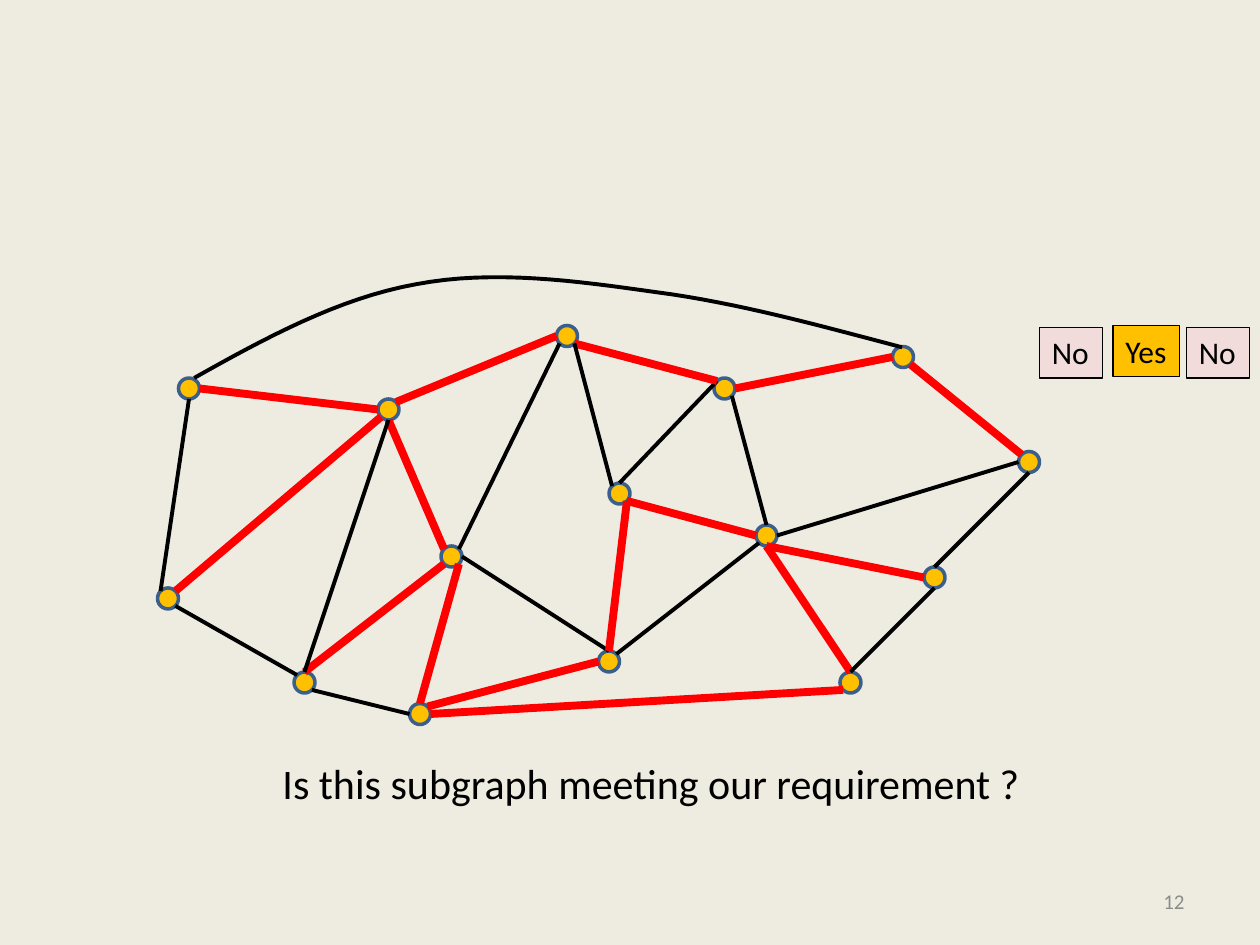
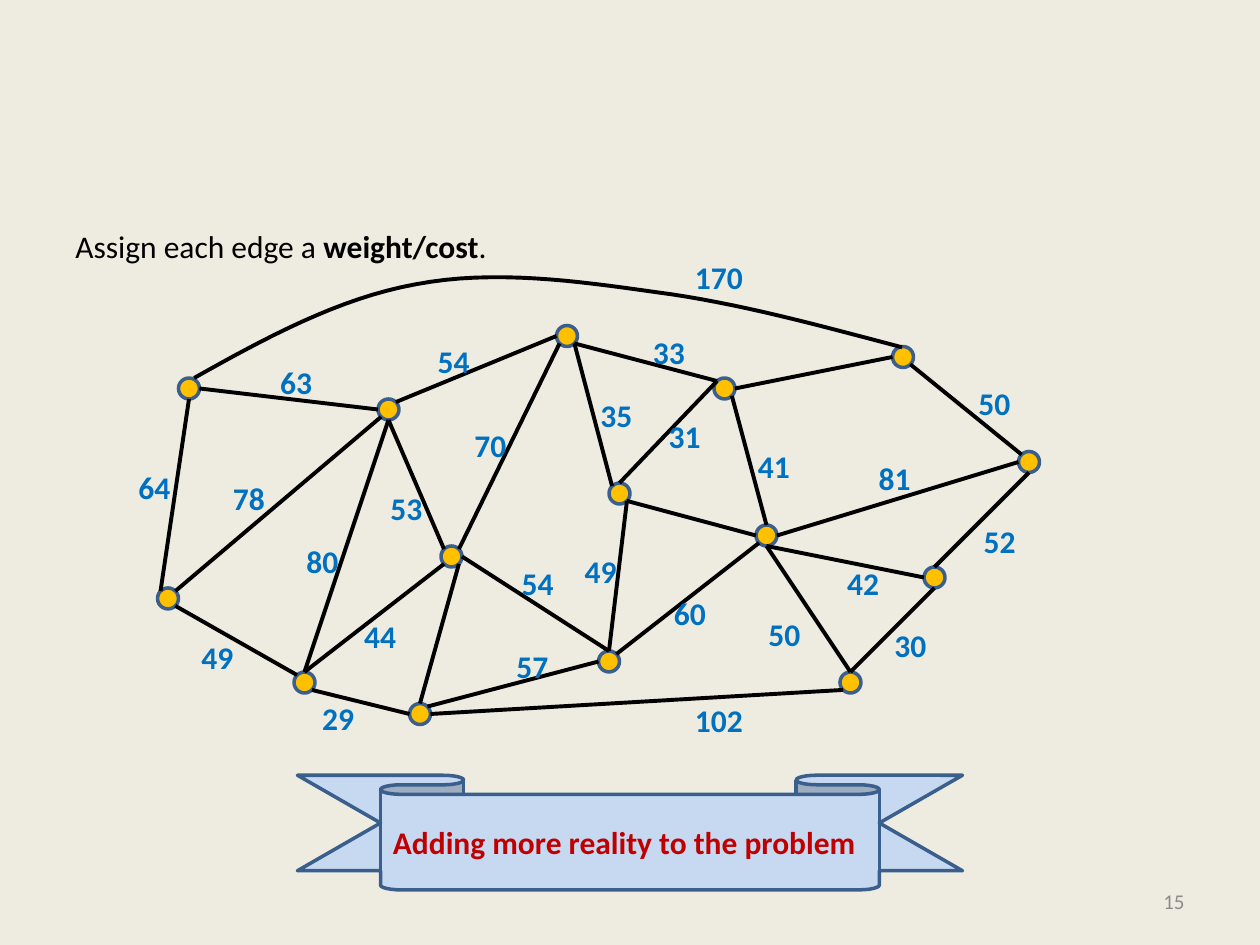
from math import sqrt

from pptx import Presentation
from pptx.dml.color import RGBColor
from pptx.enum.shapes import MSO_CONNECTOR as CXN, MSO_SHAPE as SHAPE
from pptx.enum.text import MSO_ANCHOR as ANCHOR, MSO_AUTO_SIZE as AUTO, PP_ALIGN as ALIGN
from pptx.oxml.ns import qn
from pptx.util import Pt

FONT = "Calibri"
PAPER, BLACK, RED, GREY = "EEECE1", "000000", "FF0000", "8C8C8C"
GOLD, STEEL, PINK, SKY = "FFC000", "3A5F8C", "F2DCDB", "C6D9F1"
WEIGHT_BLUE, DARK_RED = "0070C0", "C00000"

RADIUS = 6
DIAGONAL = RADIUS / sqrt(2)
SITES = {
    "n": (0, -RADIUS), "s": (0, RADIUS), "w": (-RADIUS, 0), "e": (RADIUS, 0),
    "nw": (-DIAGONAL, -DIAGONAL), "ne": (DIAGONAL, -DIAGONAL),
    "sw": (-DIAGONAL, DIAGONAL), "se": (DIAGONAL, DIAGONAL),
}
NODES = {
    "A": (108, 222), "B": (222, 234), "C": (96, 342), "D": (258, 318),
    "E": (324, 192), "F": (174, 390), "G": (414, 222), "H": (438, 306),
    "I": (348, 378), "J": (534, 330), "K": (486, 390), "L": (240, 408),
    "M": (354, 282), "N": (516, 204), "O": (588, 264),
}
EDGES = [
    ("A", "e", "B", "w"), ("A", "s", "C", "nw"), ("B", "s", "D", "nw"),
    ("D", "sw", "F", "n"), ("E", "sw", "D", "ne"), ("G", "nw", "M", "n"),
    ("E", "se", "G", "nw"), ("D", "e", "I", "n"), ("D", "se", "L", "n"),
    ("B", "ne", "E", "w"), ("G", "e", "N", "w"), ("N", "se", "O", "nw"),
    ("G", "se", "H", "n"), ("O", "w", "H", "e"), ("J", "w", "H", "s"),
    ("K", "n", "H", "s"), ("I", "n", "M", "se"), ("M", "se", "H", "w"),
    ("L", "e", "K", "sw"), ("C", "se", "F", "nw"), ("I", "w", "L", "ne"),
    ("B", "sw", "C", "ne"), ("B", "s", "F", "n"), ("E", "se", "M", "nw"),
    ("H", "sw", "I", "ne"), ("O", "s", "J", "n"), ("K", "n", "J", "s"),
    ("L", "w", "F", "se"),
]
SUBGRAPH = {"AB", "BD", "DF", "EG", "DL", "BE", "GN", "NO",
            "JH", "KH", "IM", "MH", "LK", "IL", "BC"}
WEIGHTS = [
    ("170", 390, 144), ("33", 366, 187), ("35", 336, 223), ("31", 375, 235),
    ("41", 426, 252), ("81", 495, 259), ("52", 555, 295), ("42", 477, 319),
    ("50", 552, 216), ("102", 390, 397), ("50", 432, 348), ("30", 504, 354),
    ("60", 378, 336), ("70", 264, 240), ("54", 291, 319), ("57", 288, 366),
    ("49", 327, 312), ("49", 108, 361), ("80", 168, 306), ("78", 126, 270),
    ("63", 153, 204), ("54", 243, 192), ("53", 216, 276), ("44", 201, 349),
    ("29", 177, 396), ("64", 72, 264),
]
ARC_START = (111, 216)
ARC = [
    ((152, 193), (193.5, 170.5), (237.5, 162.5)),
    ((282, 154), (329, 160.5), (375, 167)),
    ((421, 173), (468, 186), (515.5, 198.5)),
]
ARC_STEPS = 16


def rgb(color):
    return RGBColor.from_string(color)


def paint(sp, fill, line, width):
    sp.shadow.inherit = False
    if fill:
        sp.fill.solid()
        sp.fill.fore_color.rgb = rgb(fill)
    else:
        sp.fill.background()
    sp.line.color.rgb = rgb(line)
    sp.line.width = Pt(width)


def write(sp, text, size=18, color=BLACK, bold=False, bold_part="",
          align=ALIGN.LEFT, anchor=ANCHOR.TOP, wrap=True):
    tf = sp.text_frame
    tf.word_wrap = wrap
    tf.auto_size = AUTO.NONE if wrap else AUTO.SHAPE_TO_FIT_TEXT
    tf.vertical_anchor = anchor
    p = tf.paragraphs[0]
    p.alignment = align
    before, middle, after = text.partition(bold_part) if bold_part else (text, "", "")
    for part, heavy in ((before, bold), (middle, True), (after, bold)):
        if part:
            r = p.add_run()
            r.text = part
            r.font.name = FONT
            r.font.size = Pt(size)
            r.font.bold = heavy
            r.font.color.rgb = rgb(color)


def add_text(s, text, x, y, w, h, **fmt):
    sp = s.shapes.add_textbox(Pt(x), Pt(y), Pt(w), Pt(h))
    write(sp, text, **fmt)


def add_box(s, kind, x, y, w, h, fill, line, width):
    sp = s.shapes.add_shape(kind, Pt(x), Pt(y), Pt(w), Pt(h))
    paint(sp, fill, line, width)
    return sp


def add_node(s, x, y):
    add_box(s, SHAPE.OVAL, x - RADIUS, y - RADIUS, 2 * RADIUS, 2 * RADIUS, GOLD, STEEL, 2)


def site_point(node, site):
    return [Pt(c + d) for c, d in zip(NODES[node], SITES[site])]


def add_edge(s, start, start_site, end, end_site, color, width):
    cxn = s.shapes.add_connector(
        CXN.STRAIGHT, *site_point(start, start_site), *site_point(end, end_site))
    cxn.line.color.rgb = rgb(color)
    cxn.line.width = Pt(width)
    sp_pr = cxn._element.spPr
    sp_pr.append(sp_pr.makeelement(qn("a:effectLst"), {}))


def bezier(p0, p1, p2, p3, t):
    u = 1 - t
    return [Pt(u**3 * a + 3 * u * u * t * b + 3 * u * t * t * c + t**3 * d)
            for a, b, c, d in zip(p0, p1, p2, p3)]


def add_arc(s):
    points, start = [], ARC_START
    for c1, c2, end in ARC:
        points += [bezier(start, c1, c2, end, i / ARC_STEPS)
                   for i in range(1, ARC_STEPS + 1)]
        start = end
    x, y = ARC_START
    builder = s.shapes.build_freeform(Pt(x), Pt(y))
    builder.add_line_segments(points, close=False)
    paint(builder.convert_to_shape(), None, BLACK, 2.25)


def add_graph(s, highlighted=()):
    for x, y in NODES.values():
        add_node(s, x, y)
    for start, start_site, end, end_site in EDGES:
        style = (RED, 4.5) if start + end in highlighted else (BLACK, 2.25)
        add_edge(s, start, start_site, end, end_site, *style)
    add_arc(s)


def add_answer(s, text, x, y, w, fill):
    sp = add_box(s, SHAPE.RECTANGLE, x, y, w, 29, fill, BLACK, 0.75)
    write(sp, text, wrap=False)


def add_ribbon(s, text):
    sp = add_box(s, SHAPE.DOWN_RIBBON, 170, 443, 380, 65.5, SKY, STEEL, 2)
    sp.adjustments[0] = 0.167
    sp.adjustments[1] = 0.75
    write(sp, text, color=DARK_RED, bold=True, anchor=ANCHOR.MIDDLE)


def new_slide(prs, number):
    s = prs.slides.add_slide(prs.slide_layouts[6])
    for ph in list(s.placeholders):
        ph._element.getparent().remove(ph._element)
    add_text(s, number, 516, 500.5, 168, 29, size=12, color=GREY,
             align=ALIGN.RIGHT, anchor=ANCHOR.MIDDLE)
    return s


def subgraph_slide(prs):
    s = new_slide(prs, "12")
    add_text(s, "Is this subgraph meeting our requirement ?", 36, 429.5, 672, 38,
             size=24, align=ALIGN.CENTER)
    add_graph(s, SUBGRAPH)
    add_answer(s, "Yes", 636, 186, 38, GOLD)
    for x in (594, 678):
        add_answer(s, "No", x, 187, 36, PINK)


def weights_slide(prs):
    s = new_slide(prs, "15")
    add_text(s, "Assign each edge a weight/cost.", 36, 126, 648, 30,
             bold_part="weight/cost")
    add_graph(s)
    for weight, x, y in WEIGHTS:
        add_text(s, weight, x, y, 14.6 + 9.2 * len(weight), 29,
                 color=WEIGHT_BLUE, bold=True, wrap=False)
    add_ribbon(s, "Adding more reality to the problem")


def main():
    prs = Presentation()
    prs.slide_width, prs.slide_height = Pt(720), Pt(540)
    bg = prs.slide_master.background.fill
    bg.solid()
    bg.fore_color.rgb = rgb(PAPER)
    subgraph_slide(prs)
    weights_slide(prs)
    prs.save("out.pptx")


if __name__ == "__main__":
    main()
